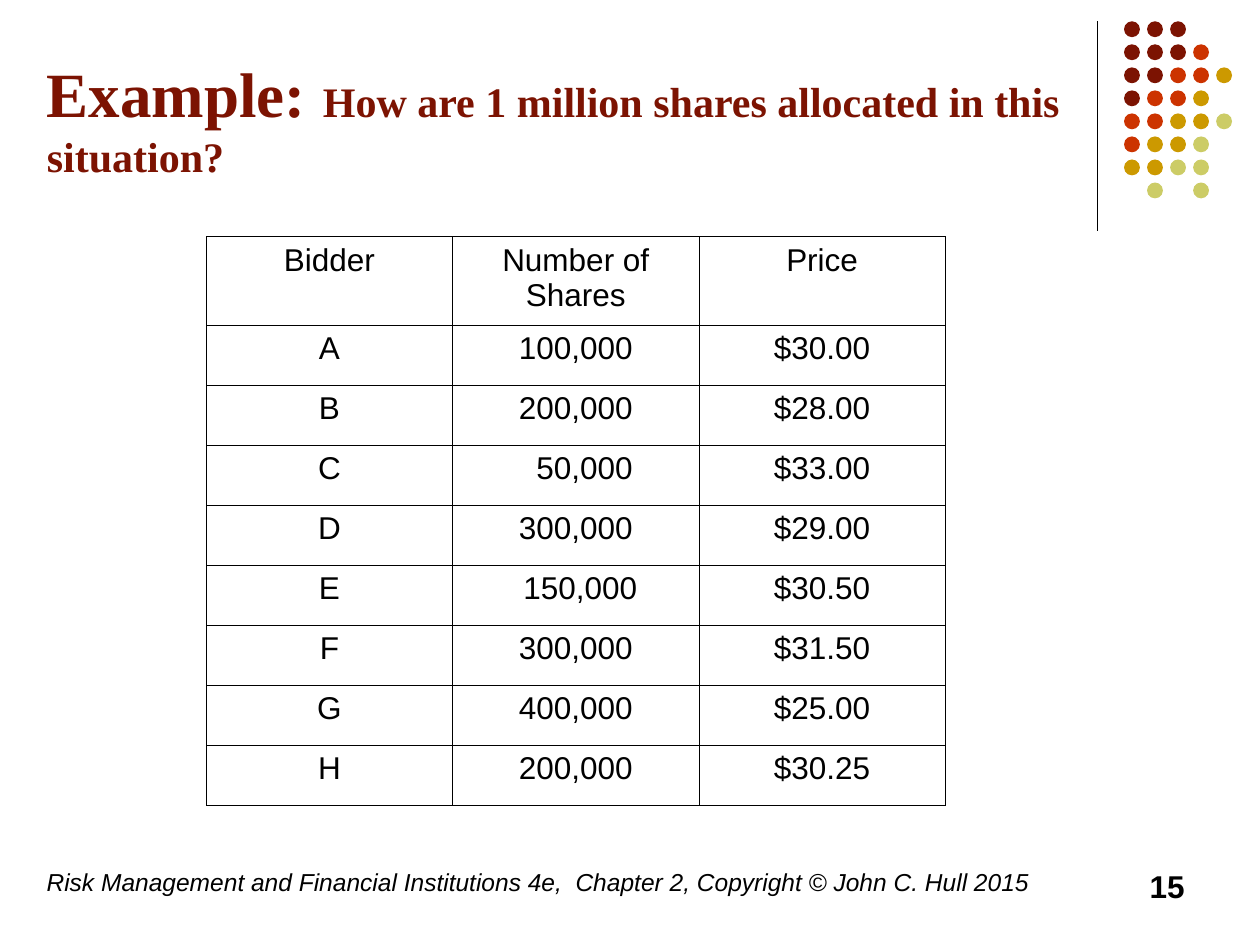
from lxml import etree
from pptx import Presentation, util as u
from pptx.dml.color import RGBColor
from pptx.enum import shapes, text
from pptx.oxml import ns

HEAD = [("Example:", 36), (" ", 39), ("How are 1 million shares allocated in this situation?", 24)]
BIDS = [
    ("Bidder", "Number of Shares", "Price"),
    ("A", "100,000", "$30.00"),
    ("B", "200,000", "$28.00"),
    ("C", "50,000", "$33.00"),
    ("D", "300,000", "$29.00"),
    ("E", "150,000", "$30.50"),
    ("F", "300,000", "$31.50"),
    ("G", "400,000", "$25.00"),
    ("H", "200,000", "$30.25"),
]
SHIFT = {"50,000": 0.35, "150,000": 0.18}
FOOT = "Risk Management and Financial Institutions 4e,  Chapter 2, Copyright © John C. Hull 2015"
PAGE = "15"
DOTS = ["MMM", "MMMR", "MMRRG", "MRRG", "RRGGL", "RGGL", "GGLL", " L L"]
HUES = {"M": "7C1302", "R": "CC3300", "G": "CC9900", "L": "CCCC66"}
BLACK = "000000"


def paint(part, hue):
    """Give a fill or font the hex colour."""
    if hasattr(part, "solid"):
        part.solid()
        part = part.fore_color
    else:
        part = part.color
    part.rgb = RGBColor.from_string(hue)


def write(para, words, size, face="Arial", hue=BLACK, bold=False, slant=False):
    """Add one formatted run to a paragraph."""
    run = para.add_run()
    run.text = words
    font = run.font
    font.name, font.size, font.bold, font.italic = face, u.Pt(size), bold, slant
    paint(font, hue)


def place(shape, left, top, width, height):
    """Move and size a shape in centimetres."""
    shape.left, shape.top = u.Cm(left), u.Cm(top)
    shape.width, shape.height = u.Cm(width), u.Cm(height)


def note(slide, spot, words, size, align, **look):
    """Add a one-line text box."""
    frame = slide.shapes.add_textbox(*map(u.Cm, spot)).text_frame
    frame.word_wrap = True
    para = frame.paragraphs[0]
    para.alignment = align
    write(para, words, size, **look)


def border(cell):
    """Draw thin black lines on all four sides of a cell."""
    props = cell._tc.get_or_add_tcPr()
    for side in ("lnL", "lnR", "lnT", "lnB"):
        line = etree.SubElement(props, ns.qn("a:" + side), w=str(u.Pt(0.45)))
        fill = etree.SubElement(line, ns.qn("a:solidFill"))
        etree.SubElement(fill, ns.qn("a:srgbClr"), val=BLACK)


def title(slide):
    """Fill the title placeholder."""
    shape = slide.shapes.title
    place(shape, 0.69, 1.19, 21.59, 2.59)
    frame = shape.text_frame
    frame.word_wrap = True
    frame.auto_size = text.MSO_AUTO_SIZE.NONE
    frame.vertical_anchor = text.MSO_ANCHOR.BOTTOM
    para = frame.paragraphs[0]
    para.alignment = text.PP_ALIGN.LEFT
    for words, size in HEAD:
        write(para, words, size, "Times New Roman", HUES["M"], bold=True)


def motif(slide):
    """Draw the corner rule and its grid of dots."""
    rule = slide.shapes.add_connector(
        shapes.MSO_CONNECTOR.STRAIGHT, u.Cm(22.12), u.Cm(0.43), u.Cm(22.12), u.Cm(4.65))
    rule.line.width = u.Pt(0.75)
    paint(rule.line.fill, BLACK)
    etree.SubElement(rule._element.spPr, ns.qn("a:effectLst"))
    group = slide.shapes.add_group_shape()
    step = 3.25 / 7
    for row, marks in enumerate(DOTS):
        for col, mark in enumerate(marks):
            if mark in HUES:
                spot = (22.66 + col * step, 0.43 + row * step, 0.32, 0.32)
                dot = group.shapes.add_shape(shapes.MSO_SHAPE.OVAL, *map(u.Cm, spot))
                dot.shadow.inherit = False
                paint(dot.fill, HUES[mark])
                dot.line.fill.background()


def table(slide):
    """Build the table of bids."""
    spot = map(u.Cm, (4.16, 4.77, 14.9, 11.48))
    grid = slide.shapes.add_table(len(BIDS), len(BIDS[0]), *spot).table
    grid.first_row = grid.horz_banding = False
    for row, bid in enumerate(BIDS):
        grid.rows[row].height = u.Cm(1.21 if row else 1.78)
        for col, words in enumerate(bid):
            cell = grid.cell(row, col)
            border(cell)
            cell.fill.background()
            cell.margin_left = u.Cm(0.25 + SHIFT.get(words, 0))
            para = cell.text_frame.paragraphs[0]
            para.alignment = text.PP_ALIGN.CENTER
            write(para, words, 18)


def main():
    """Build and save the slide."""
    deck = Presentation()
    deck.slide_width, deck.slide_height = u.Cm(25.4), u.Cm(19.05)
    slide = deck.slides.add_slide(deck.slide_layouts[5])
    motif(slide)
    title(slide)
    note(slide, (0.69, 17.35, 21, 1.27), FOOT, 14, text.PP_ALIGN.LEFT, slant=True)
    note(slide, (18.2, 17.35, 5.93, 1.27), PAGE, 18, text.PP_ALIGN.RIGHT, bold=True)
    table(slide)
    deck.save("out.pptx")


if __name__ == "__main__":
    main()
